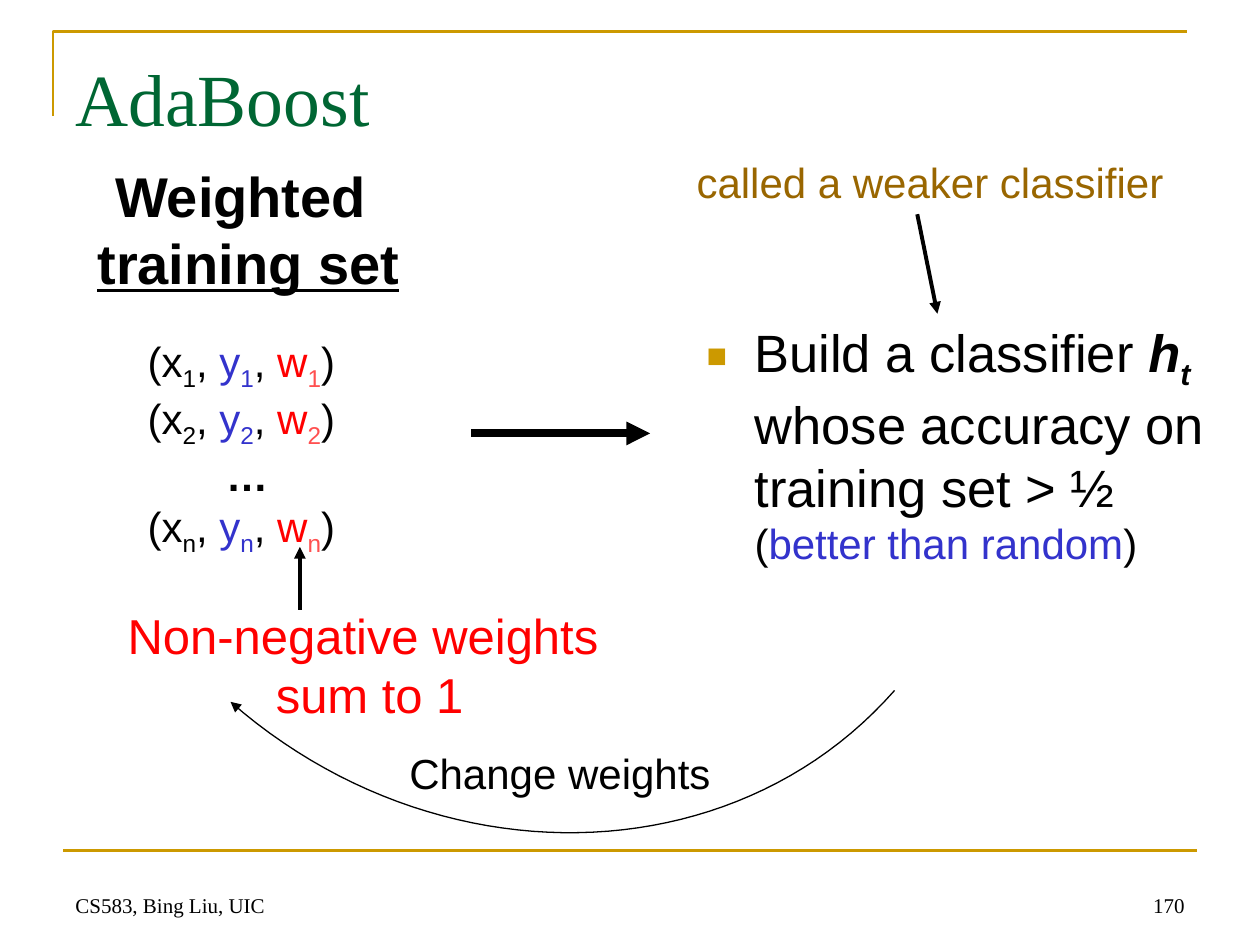
from dataclasses import dataclass

from lxml.etree import SubElement
from pptx import Presentation
from pptx.dml.color import RGBColor
from pptx.enum.shapes import MSO_CONNECTOR
from pptx.enum.text import MSO_ANCHOR, PP_ALIGN
from pptx.oxml.ns import qn
from pptx.util import Inches, Pt

COLORS = {
    "gold": "CC9900",
    "brown": "996600",
    "green": "006633",
    "black": "000000",
    "blue": "3333CC",
    "red": "FF0000",
    "light_red": "FF5050",
}


@dataclass(frozen=True)
class Run:
    text: str
    color: str = "black"
    size: float | None = None
    bold: bool = False
    italic: bool = False
    underline: bool = False
    subscript: bool = False


@dataclass(frozen=True)
class Label:
    box: tuple[float, float, float, float]
    size: float
    paragraphs: list[list[Run]]
    align: PP_ALIGN = PP_ALIGN.LEFT
    font: str = "Arial"
    anchor: MSO_ANCHOR = MSO_ANCHOR.TOP
    wrap: bool = True
    bullet: bool = False


@dataclass(frozen=True)
class Line:
    start: tuple[float, float]
    end: tuple[float, float]
    width: float
    color: str = "black"
    arrow: bool = True


def rgb(name: str) -> RGBColor:
    return RGBColor.from_string(COLORS[name])


def style_line(shape, color: str, width: float, arrow_end: str | None = None) -> None:
    shape.line.color.rgb = rgb(color)
    shape.line.width = Pt(width)
    if arrow_end:
        SubElement(shape.line._get_or_add_ln(), qn(f"a:{arrow_end}"), type="triangle")


def add_bullet(paragraph) -> None:
    properties = paragraph._p.get_or_add_pPr()
    properties.set("marL", str(Inches(0.38)))
    properties.set("indent", str(-Inches(0.38)))
    color = SubElement(properties, qn("a:buClr"))
    SubElement(color, qn("a:srgbClr"), val=COLORS["gold"])
    SubElement(properties, qn("a:buSzPct"), val="65000")
    SubElement(properties, qn("a:buFont"), typeface="Arial")
    SubElement(properties, qn("a:buChar"), char="■")


def add_run(paragraph, item: Run, font_name: str, size: float) -> None:
    run = paragraph.add_run()
    run.text = item.text
    font = run.font
    font.name = font_name
    font.size = Pt(item.size or size)
    font.color.rgb = rgb(item.color)
    font.bold = item.bold
    font.italic = item.italic
    font.underline = item.underline
    if item.subscript:
        run._r.get_or_add_rPr().set("baseline", "-25000")


def add_label(slide, label: Label) -> None:
    shape = slide.shapes.add_textbox(*map(Inches, label.box))
    frame = shape.text_frame
    frame.word_wrap = label.wrap
    frame.vertical_anchor = label.anchor
    for index, runs in enumerate(label.paragraphs):
        paragraph = frame.add_paragraph() if index else frame.paragraphs[0]
        paragraph.alignment = label.align
        if label.bullet:
            add_bullet(paragraph)
        for item in runs:
            add_run(paragraph, item, label.font, label.size)


def add_line(slide, line: Line) -> None:
    connector = slide.shapes.add_connector(
        MSO_CONNECTOR.STRAIGHT, *map(Inches, line.start + line.end))
    style_line(connector, line.color, line.width, "tailEnd" if line.arrow else None)
    SubElement(connector._element.spPr, qn("a:effectLst"))


def add_path(slide, points: list[tuple[float, float]], color: str, width: float,
             arrow_end: str | None = None) -> None:
    corners = [(Inches(x), Inches(y)) for x, y in points]
    builder = slide.shapes.build_freeform(*corners[0])
    builder.add_line_segments(corners[1:], close=False)
    shape = builder.convert_to_shape()
    shape.fill.background()
    style_line(shape, color, width, arrow_end)
    shape.shadow.inherit = False


def bezier(a, b, c, d, steps: int = 48) -> list[tuple[float, float]]:
    def point(t: float) -> tuple[float, float]:
        weights = ((1 - t) ** 3, 3 * t * (1 - t) ** 2, 3 * t * t * (1 - t), t ** 3)
        return (sum(w * p[0] for w, p in zip(weights, (a, b, c, d))),
                sum(w * p[1] for w, p in zip(weights, (a, b, c, d))))
    return [point(step / steps) for step in range(steps + 1)]


def example(index: str) -> list[Run]:
    return [
        Run("(x"), Run(index, subscript=True), Run(", "),
        Run("y", "blue"), Run(index, "blue", subscript=True), Run(", "),
        Run("w", "red"), Run(index, "light_red", subscript=True), Run(")"),
    ]


LABELS = [
    Label((0.5, 6.83, 6.08, 0.5), 12, [[Run("CS583, Bing Liu, UIC")]],
          font="Times New Roman", anchor=MSO_ANCHOR.BOTTOM),
    Label((7.17, 6.83, 2.33, 0.5), 12, [[Run("170")]], PP_ALIGN.RIGHT,
          font="Times New Roman", anchor=MSO_ANCHOR.BOTTOM),
    Label((0.55, 1.23, 2.72, 1.17), 32,
          [[Run("Weighted", bold=True)],
           [Run(" ", bold=True), Run("training set", bold=True, underline=True)]],
          PP_ALIGN.CENTER, wrap=False),
    Label((1.07, 2.61, 1.69, 1.87), 24,
          [example("1"), example("2"), [Run(" "), Run("…", bold=True)], example("n")],
          PP_ALIGN.CENTER, wrap=False),
    Label((0.88, 4.76, 4, 1.04), 28,
          [[Run("Non-negative weights", "red")], [Run(" sum to 1", "red")]],
          PP_ALIGN.CENTER),
    Label((5.51, 2.49, 4.21, 2.07), 30,
          [[Run("Build a classifier "), Run("h", bold=True, italic=True),
            Run("t", bold=True, italic=True, subscript=True),
            Run(" whose accuracy on training set > ½ "), Run("(", size=24),
            Run("better than random", "blue", 24), Run(")", size=24)]],
          bullet=True),
    Label((3.15, 5.88, 2.72, 0.5), 24, [[Run("Change weights")]]),
    Label((5.43, 1.19, 4.57, 0.5), 24, [[Run("called a weaker classifier", "brown")]]),
]

LINES = [
    Line((0.5, 6.75), (9.5, 6.75), 1.5, "gold", arrow=False),
    Line((2.38, 4.84), (2.38, 4.34), 2.25),
    Line((3.74, 3.44), (5.16, 3.44), 4.5),
    Line((7.28, 1.7), (7.44, 2.49), 2.25),
]


def main() -> None:
    presentation = Presentation()
    presentation.slide_width = Inches(10)
    presentation.slide_height = Inches(7.5)
    slide = presentation.slides.add_slide(presentation.slide_layouts[5])

    title = slide.shapes.title
    title.left, title.top, title.width, title.height = map(Inches, (0.5, 0.3, 9, 1.25))
    frame = title.text_frame
    frame.text = "AdaBoost"
    frame.vertical_anchor = MSO_ANCHOR.TOP
    frame.margin_top = Inches(0.12)
    paragraph = frame.paragraphs[0]
    paragraph.alignment = PP_ALIGN.LEFT
    font = paragraph.runs[0].font
    font.name = "Times New Roman"
    font.size = Pt(42)
    font.color.rgb = rgb("green")

    add_path(slide, [(0.42, 0.92), (0.42, 0.25), (9.42, 0.25)], "gold", 1.5)
    for label in LABELS:
        add_label(slide, label)
    for line in LINES:
        add_line(slide, line)
    feedback = bezier((1.83, 5.57), (3.45, 6.99), (5.81, 6.95), (7.1, 5.48))
    add_path(slide, feedback, "black", 0.75, "headEnd")

    presentation.save("out.pptx")


if __name__ == "__main__":
    main()
